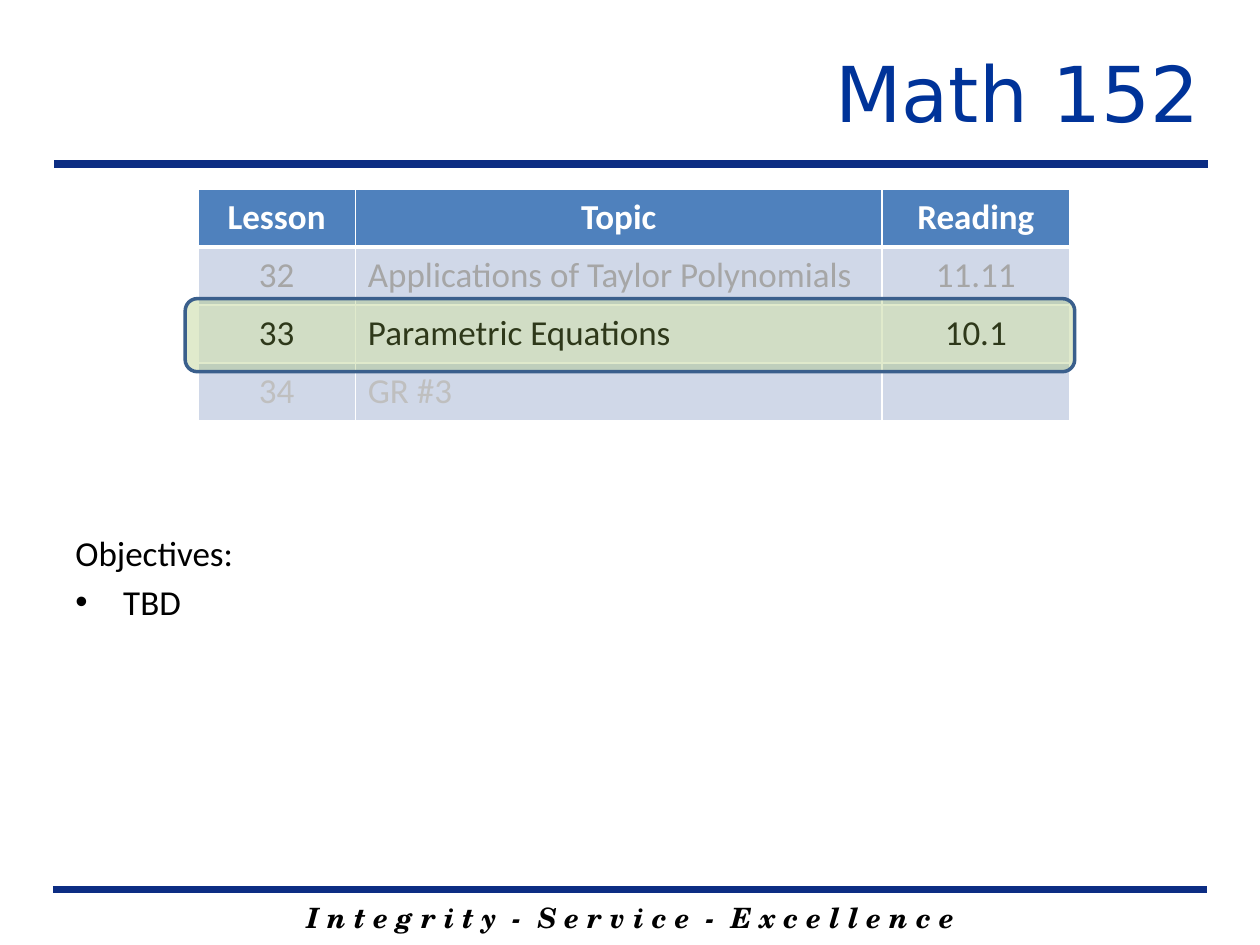
from pptx import Presentation, util as u
from pptx.dml.color import RGBColor
from pptx.enum import shapes, text
from pptx.oxml import parse_xml
from pptx.oxml.ns import nsdecls, qn
from lxml import etree

BLACK = RGBColor(0, 0, 0)
WHITE = RGBColor(0xFF, 0xFF, 0xFF)
RULE_BLUE = RGBColor(0x0C, 0x2D, 0x83)
TITLE_BLUE = RGBColor(0x00, 0x33, 0x99)
HEADER_BLUE = RGBColor(0x4F, 0x81, 0xBD)
DARK_BAND = RGBColor(0xD0, 0xD8, 0xE8)
LIGHT_BAND = RGBColor(0xE9, 0xED, 0xF4)
PAST_GRAY = RGBColor(0xA6, 0xA6, 0xA6)
FUTURE_GRAY = RGBColor(0xBF, 0xBF, 0xBF)
MARKER_GREEN = RGBColor(0x9B, 0xBB, 0x59)
MARKER_LINE = RGBColor(0x3A, 0x5F, 0x8C)

CENTER = text.PP_ALIGN.CENTER
LEFT = text.PP_ALIGN.LEFT
RIGHT = text.PP_ALIGN.RIGHT
MIDDLE = text.MSO_ANCHOR.MIDDLE

BODY = {"name": "Calibri", "size": u.Pt(20), "color": BLACK}
TITLE = {"name": "DejaVu Sans", "size": u.Pt(44), "color": TITLE_BLUE}
MOTTO = {"name": "TeX Gyre Schola", "size": u.Pt(16), "color": BLACK,
         "bold": True, "italic": True}

COLUMN_WIDTHS = (1.25, 4.18, 1.49)
COLUMN_ALIGNS = (CENTER, LEFT, CENTER)
ROW_HEIGHT = 0.46
LESSONS = (
    (("Lesson", "Topic", "Reading"), HEADER_BLUE, WHITE),
    (("32", "Applications of Taylor Polynomials", "11.11"), DARK_BAND, PAST_GRAY),
    (("33", "Parametric Equations", "10.1"), LIGHT_BAND, BLACK),
    (("34", "GR #3", ""), DARK_BAND, FUTURE_GRAY),
)


def write(para, words, style, align=LEFT):
    para.alignment = align
    span = para.add_run()
    span.text = words
    for key, value in style.items():
        if key == "color":
            span.font.color.rgb = value
        else:
            setattr(span.font, key, value)


def add_text(page, place, lines, style, align=LEFT, anchor=text.MSO_ANCHOR.TOP):
    box = page.shapes.add_textbox(*map(u.Inches, place))
    frame = box.text_frame
    frame.word_wrap = True
    frame.vertical_anchor = anchor
    for index, words in enumerate(lines):
        para = frame.add_paragraph() if index else frame.paragraphs[0]
        write(para, words, style, align)
    return frame


def make_bullet(para, indent):
    props = para._p.get_or_add_pPr()
    props.set("marL", str(indent))
    props.set("indent", str(-indent))
    etree.SubElement(props, qn("a:buFont")).set("typeface", "Arial")
    etree.SubElement(props, qn("a:buChar")).set("char", "•")
    para.space_before = u.Pt(4)


def add_rule(page, left, top, width):
    rule = page.shapes.add_connector(
        shapes.MSO_CONNECTOR.STRAIGHT, u.Inches(left), u.Inches(top),
        u.Inches(left + width), u.Inches(top))
    rule.line.color.rgb = RULE_BLUE
    rule.line.width = u.Pt(4.5)
    etree.SubElement(rule._element.spPr, qn("a:effectLst"))


def set_borders(cell, widths):
    props = cell._tc.get_or_add_tcPr()
    for index, (side, width) in enumerate(widths.items()):
        props.insert(index, parse_xml(
            f'<a:ln{side} {nsdecls("a")} w="{u.Pt(width)}"><a:solidFill>'
            f'<a:srgbClr val="{WHITE}"/></a:solidFill></a:ln{side}>'))


def add_lessons(page, left, top):
    table = page.shapes.add_table(
        len(LESSONS), len(COLUMN_WIDTHS), u.Inches(left), u.Inches(top),
        u.Inches(sum(COLUMN_WIDTHS)), u.Inches(ROW_HEIGHT * len(LESSONS))).table
    for column, width in zip(table.columns, COLUMN_WIDTHS):
        column.width = u.Inches(width)
    for index, (row, (entries, fill, color)) in enumerate(zip(table.rows, LESSONS)):
        row.height = u.Inches(ROW_HEIGHT)
        header = index == 0
        style = {**BODY, "color": color, "bold": header}
        borders = {"L": 1, "R": 1, "T": 3 if index == 1 else 1, "B": 3 if header else 1}
        for cell, words, align in zip(row.cells, entries, COLUMN_ALIGNS):
            cell.vertical_anchor = MIDDLE
            cell.fill.solid()
            cell.fill.fore_color.rgb = fill
            set_borders(cell, borders)
            if words:
                write(cell.text_frame.paragraphs[0], words, style,
                      CENTER if header else align)


def add_marker(page, place, opacity):
    marker = page.shapes.add_shape(
        shapes.MSO_SHAPE.ROUNDED_RECTANGLE, *map(u.Inches, place))
    marker.shadow.inherit = False
    marker.fill.solid()
    marker.fill.fore_color.rgb = MARKER_GREEN
    color = marker._element.spPr.find(qn("a:solidFill"))[0]
    etree.SubElement(color, qn("a:alpha")).set("val", str(opacity * 1000))
    marker.line.color.rgb = MARKER_LINE
    marker.line.width = u.Pt(2)


def main():
    deck = Presentation()
    deck.slide_width, deck.slide_height = u.Inches(10), u.Inches(7.5)
    page = deck.slides.add_slide(deck.slide_layouts[6])
    add_text(page, (1.42, 7.1, 7.17, 0.37),
             ["I n t e g r i t y  -  S e r v i c e  -  E x c e l l e n c e"],
             MOTTO, CENTER)
    add_rule(page, 0.42, 7.06, 9.16)
    add_rule(page, 0.43, 1.3, 9.16)
    add_text(page, (2.2, 0.1, 7.42, 1.25), ["Math 152"], TITLE, RIGHT, MIDDLE)
    add_lessons(page, 1.57, 1.5)
    add_marker(page, (1.47, 2.37, 7.06, 0.58), 30)
    objectives = add_text(page, (0.5, 4.17, 9, 2.83), ["Objectives:", "TBD"], BODY)
    make_bullet(objectives.paragraphs[1], u.Inches(0.38))
    deck.save("out.pptx")


if __name__ == "__main__":
    main()
